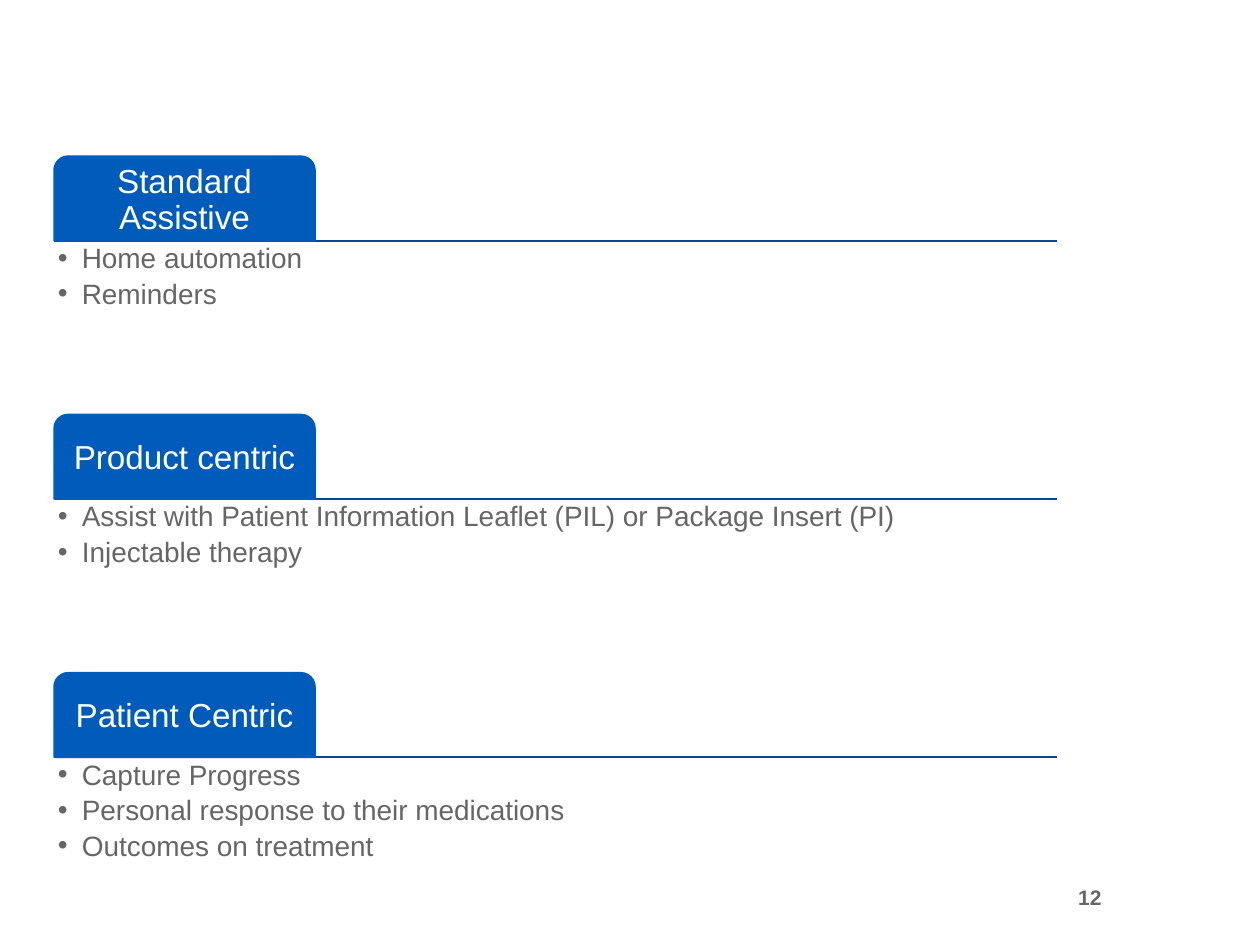
from lxml import etree
from pptx import Presentation
from pptx.dml.color import RGBColor
from pptx.enum import shapes, text
from pptx.oxml.ns import qn
from pptx.util import Inches, Pt

BLUE, NAVY, GREY, WHITE = "005BBB", "004996", "666666", "FFFFFF"
LEFT, WIDTH = 0.43, 7.96
TAB_W, TAB_H = 2.07, 0.67
FIRST_RULE, PITCH = 1.91, 2.05

SECTIONS = [
    ("Standard Assistive", ["Home automation", "Reminders"]),
    ("Product centric", [
        "Assist with Patient Information Leaflet (PIL) or Package Insert (PI)",
        "Injectable therapy",
    ]),
    ("Patient Centric", [
        "Capture Progress",
        "Personal response to their medications",
        "Outcomes on treatment",
    ]),
]


def rgb(color):
    return RGBColor.from_string(color)


def set_frame(tf, inset, anchor):
    tf.word_wrap = True
    tf.vertical_anchor = anchor
    tf.margin_left = tf.margin_right = Inches(inset)
    tf.margin_top = tf.margin_bottom = Inches(inset)


def add_run(p, words, size, color, bold=False):
    r = p.add_run()
    r.text = words
    r.font.name = "Arial"
    r.font.size = Pt(size)
    r.font.bold = bold
    r.font.color.rgb = rgb(color)


def add_bullet(p):
    pPr = p._p.get_or_add_pPr()
    pPr.set("marL", str(Inches(0.19)))
    pPr.set("indent", str(Inches(-0.19)))
    etree.SubElement(pPr, qn("a:buFont"), typeface="Arial")
    etree.SubElement(pPr, qn("a:buChar"), char="•")


def add_rule(s, y):
    line = s.shapes.add_connector(
        shapes.MSO_CONNECTOR.STRAIGHT,
        Inches(LEFT), Inches(y), Inches(LEFT + WIDTH), Inches(y))
    line.line.color.rgb = rgb(NAVY)
    line.line.width = Pt(1)
    etree.SubElement(line._element.spPr, qn("a:effectLst"))


def add_tab(s, y, title):
    sp = s.shapes.add_shape(
        shapes.MSO_SHAPE.ROUND_2_SAME_RECTANGLE,
        Inches(LEFT), Inches(y - TAB_H), Inches(TAB_W), Inches(TAB_H))
    sp.shadow.inherit = False
    sp.fill.solid()
    sp.fill.fore_color.rgb = rgb(BLUE)
    sp.line.color.rgb = rgb(BLUE)
    sp.line.width = Pt(1)
    set_frame(sp.text_frame, 0.04, text.MSO_ANCHOR.MIDDLE)
    p = sp.text_frame.paragraphs[0]
    p.alignment = text.PP_ALIGN.CENTER
    p.line_spacing = 0.9
    add_run(p, title, 19, WHITE)


def add_bullets(s, y, items):
    sp = s.shapes.add_textbox(
        Inches(LEFT), Inches(y), Inches(WIDTH), Inches(1.35))
    tf = sp.text_frame
    set_frame(tf, 0.03, text.MSO_ANCHOR.TOP)
    for i, item in enumerate(items):
        p = tf.add_paragraph() if i else tf.paragraphs[0]
        add_bullet(p)
        p.line_spacing = 0.9
        p.space_after = Pt(3)
        add_run(p, item, 16, GREY)


def add_page_number(s, number):
    sp = s.shapes.add_textbox(
        Inches(8.25), Inches(6.83), Inches(0.59), Inches(0.58))
    tf = sp.text_frame
    tf.word_wrap = True
    tf.vertical_anchor = text.MSO_ANCHOR.MIDDLE
    p = tf.paragraphs[0]
    p.alignment = text.PP_ALIGN.RIGHT
    add_run(p, number, 12, GREY, bold=True)


def main():
    prs = Presentation()
    prs.slide_width, prs.slide_height = Inches(10), Inches(7.5)
    s = prs.slides.add_slide(prs.slide_layouts[6])
    for i, (title, items) in enumerate(SECTIONS):
        y = FIRST_RULE + i * PITCH
        add_rule(s, y)
        add_tab(s, y, title)
        add_bullets(s, y, items)
    add_page_number(s, "12")
    prs.save("out.pptx")


if __name__ == "__main__":
    main()
